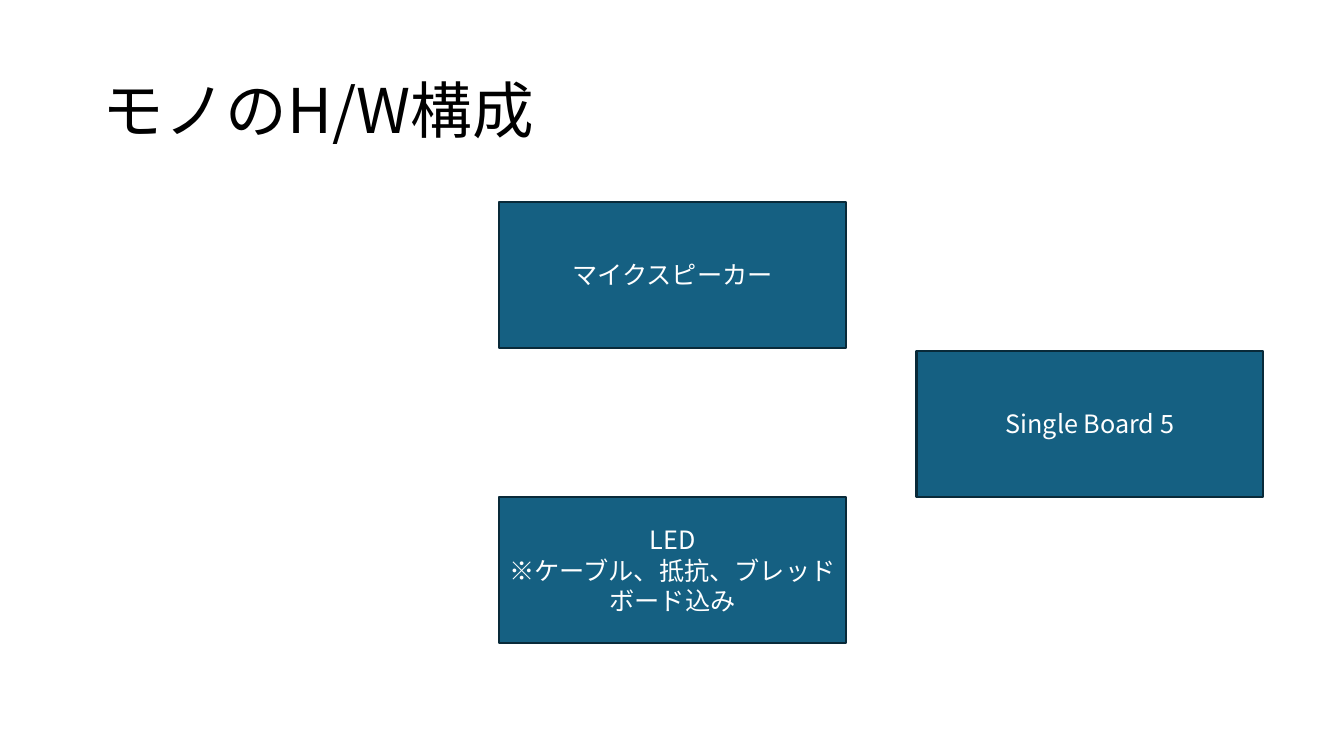
import pptx
import pptx.dml.color
import pptx.enum.shapes
import pptx.enum.text
import pptx.oxml.ns
import pptx.util
from lxml import etree
from pptx.util import Inches

FONT = "Noto Sans CJK JP"
BOX_WIDTH, BOX_HEIGHT = 3.44, 1.45
DEVICES = [
    (4.95, 4.93, ["LED", "※ケーブル、抵抗、ブレッドボード込み"]),
    (4.95, 2, ["マイクスピーカー"]),
    (9.09, 3.48, ["Single Board 5"]),
]


def color(hex_value):
    return pptx.dml.color.RGBColor.from_string(hex_value)


def add_run(paragraph, text, size, hex_value):
    """Add a run whose Latin and East Asian glyphs share one font."""
    run = paragraph.add_run()
    run.text = text
    run.font.size = pptx.util.Pt(size)
    run.font.color.rgb = color(hex_value)
    run.font.name = FONT
    properties = run.font._element
    etree.SubElement(properties, pptx.oxml.ns.qn("a:ea"), typeface=FONT)


def add_title(slide, text):
    text_box = slide.shapes.add_textbox(
        Inches(0.92), Inches(0.4), Inches(11.5), Inches(1.45))
    frame = text_box.text_frame
    frame.word_wrap = True
    frame.vertical_anchor = pptx.enum.text.MSO_ANCHOR.MIDDLE
    paragraph = frame.paragraphs[0]
    paragraph.line_spacing = 0.9
    add_run(paragraph, text, 44, "000000")


def add_device(slide, left, top, lines):
    shape = slide.shapes.add_shape(
        pptx.enum.shapes.MSO_SHAPE.RECTANGLE,
        Inches(left), Inches(top), Inches(BOX_WIDTH), Inches(BOX_HEIGHT))
    shape.shadow.inherit = False
    shape.fill.solid()
    shape.fill.fore_color.rgb = color("156082")
    shape.line.color.rgb = color("092A39")
    shape.line.width = pptx.util.Pt(1.5)
    frame = shape.text_frame
    frame.word_wrap = True
    frame.vertical_anchor = pptx.enum.text.MSO_ANCHOR.MIDDLE
    for index, line in enumerate(lines):
        paragraph = frame.add_paragraph() if index else frame.paragraphs[0]
        paragraph.alignment = pptx.enum.text.PP_ALIGN.CENTER
        add_run(paragraph, line, 18, "FFFFFF")


def main():
    presentation = pptx.Presentation()
    presentation.slide_width = Inches(13.33)
    presentation.slide_height = Inches(7.5)
    slide = presentation.slides.add_slide(presentation.slide_layouts[6])
    add_title(slide, "モノのH/W構成")
    for left, top, lines in DEVICES:
        add_device(slide, left, top, lines)
    presentation.save("out.pptx")


if __name__ == "__main__":
    main()
